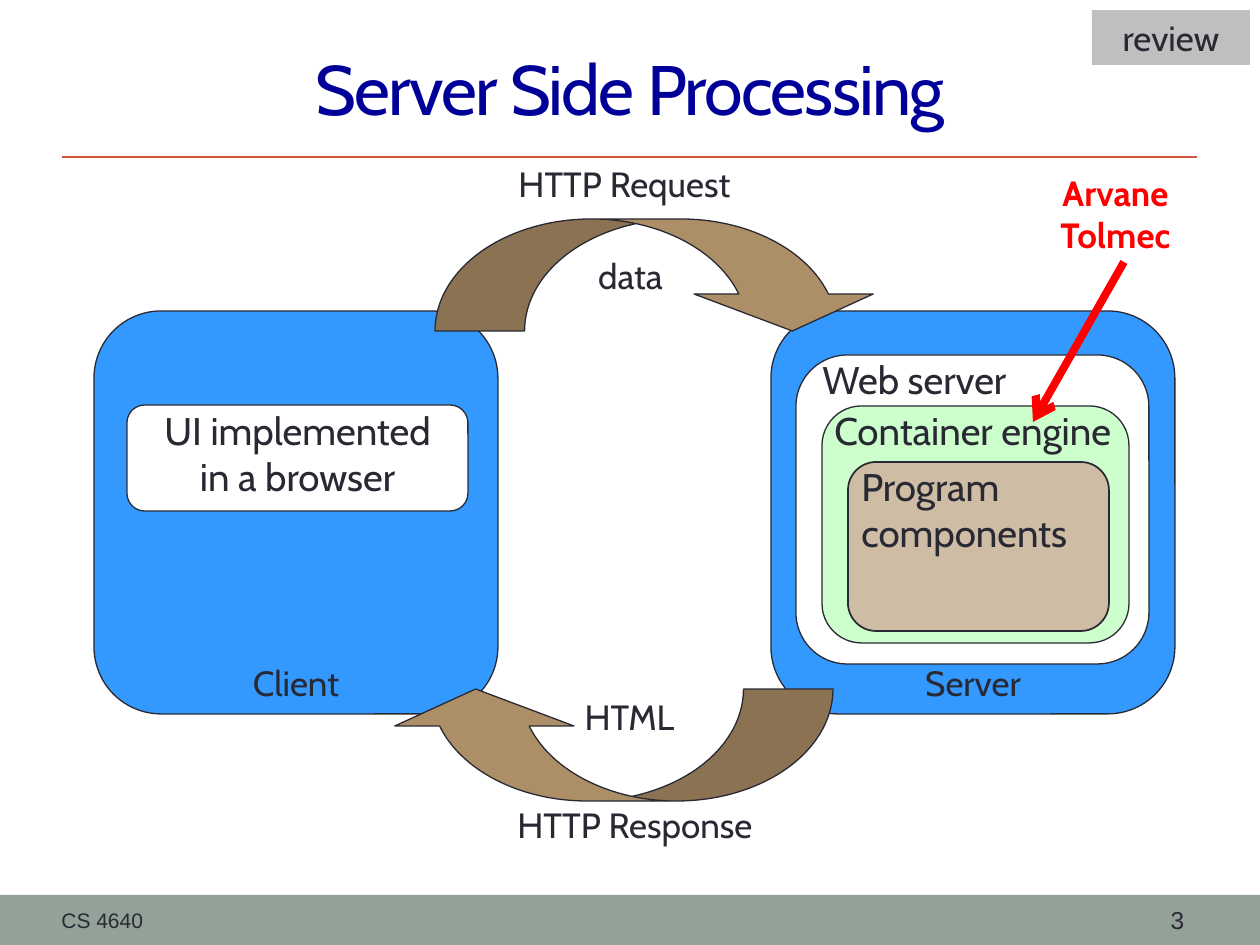
from pptx import Presentation, util as u
from pptx.dml.color import RGBColor
from pptx.enum import shapes as s, text as t
from pptx.oxml.ns import qn
from lxml import etree

SCALE = 914400 // 126
INK = "292934"
BLUE = "3399FF"
WHITE = "FFFFFF"


def px(*vals):
    return [u.Emu(round(v * SCALE)) for v in vals]


def rgb(code):
    return RGBColor.from_string(code)


def write(frame, words, size=20, font="Cabin", color=INK, bold=False,
          align="CENTER", anchor="TOP", track=None):
    frame.word_wrap = True
    frame.vertical_anchor = getattr(t.MSO_ANCHOR, anchor)
    frame.text = words
    para = frame.paragraphs[0]
    para.alignment = getattr(t.PP_ALIGN, align)
    for run in para.runs:
        run.font.size = u.Pt(size)
        run.font.name = font
        run.font.bold = bold
        run.font.color.rgb = rgb(color)
        if track is not None:
            run.font._element.set("spc", str(track))


def label(slide, box, words, **fmt):
    write(slide.shapes.add_textbox(*px(*box)).text_frame, words, **fmt)


def block(slide, kind, box, fill, line=0.75, adj=()):
    shape = slide.shapes.add_shape(getattr(s.MSO_SHAPE, kind), *px(*box))
    shape.shadow.inherit = False
    shape.fill.solid()
    shape.fill.fore_color.rgb = rgb(fill)
    if line:
        shape.line.color.rgb = rgb(INK)
        shape.line.width = u.Pt(line)
    else:
        shape.line.fill.background()
    for i, val in enumerate(adj):
        shape.adjustments[i] = val
    return shape


def rule(slide, ends, color, width, head=False):
    line = slide.shapes.add_connector(s.MSO_CONNECTOR.STRAIGHT, *px(*ends))
    line.line.color.rgb = rgb(color)
    line.line.width = u.Pt(width)
    if head:
        etree.SubElement(line.line._get_or_add_ln(), qn("a:tailEnd"), type="arrow")
    etree.SubElement(line._element.spPr, qn("a:effectLst"))


def main():
    prs = Presentation()
    prs.slide_width, prs.slide_height = px(1260, 945)
    slide = prs.slides.add_slide(prs.slide_layouts[5])

    # Title, rule and footer
    title = slide.shapes.title
    title.left, title.top, title.width, title.height = px(63, 20, 1134, 136)
    write(title.text_frame, "Server Side Processing", size=40, color="000099",
          anchor="MIDDLE", track=-100)
    block(slide, "RECTANGLE", (0, 895, 1260, 50), "93A299", line=0)
    rule(slide, (62, 157, 1197, 157), "D2533C", 1.5)
    label(slide, (49, 897, 399, 46), "CS 4640", size=12, font="Arial",
          align="LEFT", anchor="MIDDLE")
    label(slide, (1104, 897, 147, 46), "3", size=14, font="Arial", anchor="MIDDLE")

    # Client and server machines
    for left, name in ((771, "Server"), (94, "Client")):
        block(slide, "ROUNDED_RECTANGLE", (left, 311, 404, 403), BLUE)
        label(slide, (left + 122, 655, 160, 55), name)

    # Boxes inside the machines, with their captions
    parts = (
        ((127, 405, 341, 106), WHITE, 0.75, (137, 401, 321, 106),
         "UI implemented in a browser", "CENTER"),
        ((796, 355, 353, 309), WHITE, 0.75, (810, 350, 255, 59),
         "Web server", "LEFT"),
        ((822, 406, 307, 237), "CCFFCC", 0.75, (822, 401, 324, 59),
         "Container engine", "LEFT"),
        ((848, 462, 261, 169), "CEBCA4", 1, (849, 457, 260, 106),
         "Program components", "LEFT"),
    )
    for box, fill, line, area, words, align in parts:
        block(slide, "ROUNDED_RECTANGLE", box, fill, line)
        label(slide, area, words, size=22, align=align)

    # Request and response arrows
    for left, top, turn in ((435, 219, 0), (386, 689, 180)):
        arrow = block(slide, "CURVED_DOWN_ARROW", (left, top, 447, 112), "AD8F67",
                      adj=(0.8, 1.6, 0.33))
        arrow.rotation = turn
    for box, words in (
        ((399, 156, 451, 55), "HTTP Request"),
        ((576, 248, 109, 55), "data"),
        ((546, 689, 167, 55), "HTML"),
        ((399, 797, 472, 55), "HTTP Response"),
    ):
        label(slide, box, words)

    # Container product callout
    label(slide, (994, 165, 243, 97), "Arvane\vTolmec", color="FF0000", bold=True)
    rule(slide, (1124, 262, 1033, 422), "FF0000", 4.5, head=True)

    # Review tag
    tag = block(slide, "RECTANGLE", (1092, 10, 158, 55), "BFBFBF", line=0)
    write(tag.text_frame, "review")

    prs.save("out.pptx")


main()
